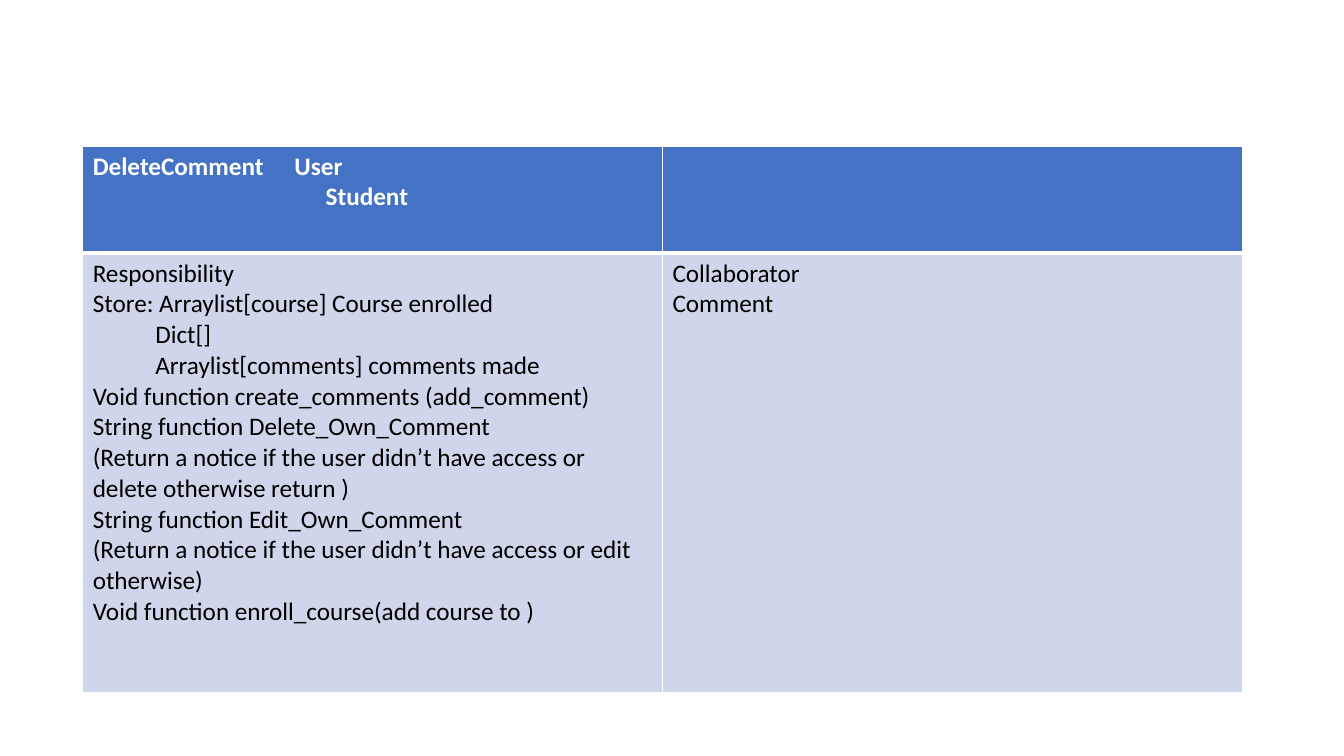
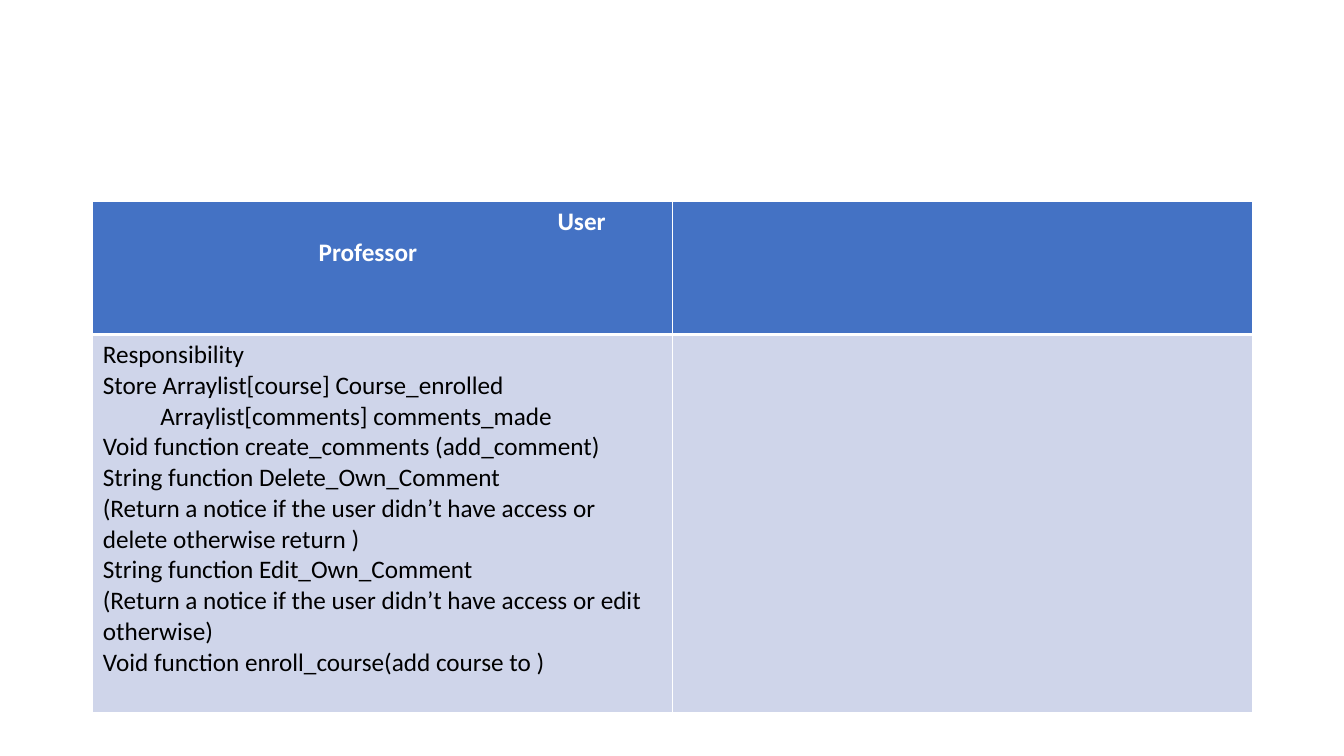
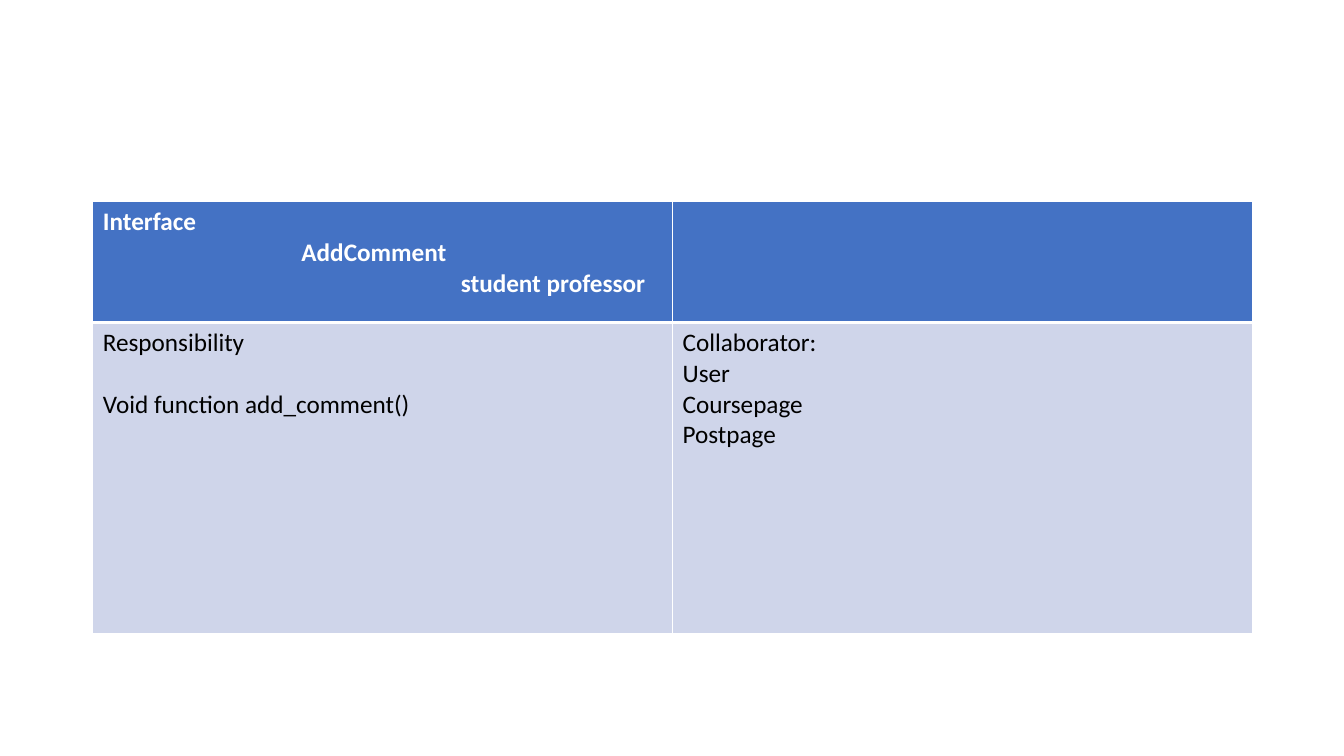
from lxml import etree
from pptx import Presentation
from pptx import util as u
from pptx.dml.color import RGBColor
from pptx.oxml.ns import qn

PX = 9144  # 100 px to the inch
INK = {"head": "4472C4", "body": "CFD5EA", "white": "FFFFFF", "black": "000000"}
COL = 575


def write(cell, lines, color, bold=False):
    """Fill a cell with (text, format) lines; indent and tab in px, gap in points."""
    frame = cell.text_frame
    for n, (text, form) in enumerate(lines):
        para = frame.add_paragraph() if n else frame.paragraphs[0]
        run = para.add_run()
        run.text = text
        run.font.name, run.font.size, run.font.bold = "Calibri", u.Pt(18), bold
        run.font.color.rgb = RGBColor.from_string(INK[color])
        props = para._p.get_or_add_pPr()
        props.set("marL", str(form.get("indent", 0) * PX))
        props.set("indent", "0")
        if "gap" in form:
            para.space_before = u.Pt(form["gap"])
        if "tab" in form:
            tabs = etree.SubElement(props, qn("a:tabLst"))
            etree.SubElement(tabs, qn("a:tab"), pos=str(form["tab"] * PX), algn="l")


def paint(cell, fill, widths):
    """Set white borders (points by side) and a solid fill."""
    props = cell._tc.get_or_add_tcPr()
    for side, width in widths.items():
        line = etree.SubElement(props, qn("a:ln" + side), w=str(u.Pt(width)))
        solid = etree.SubElement(line, qn("a:solidFill"))
        etree.SubElement(solid, qn("a:srgbClr"), val=INK["white"])
    cell.fill.solid()
    cell.fill.fore_color.rgb = RGBColor.from_string(INK[fill])


# Lines that both user cards share
tasks = [
    ("Void function create_comments (add_comment)", {}),
    ("String function Delete_Own_Comment", {}),
    ("(Return a notice if the user didn’t have access or delete otherwise return )", {}),
    ("String function Edit_Own_Comment", {}),
    ("(Return a notice if the user didn’t have access or edit otherwise)", {}),
    ("Void function enroll_course(add course to )", {}),
]

# One card per slide: place, row heights, and text of the three filled cells
cards = [
    {"at": (82, 145), "rows": (106, 436),
     "head": [("DeleteComment\tUser", {"tab": 491}), ("Student", {"indent": 231})],
     "duty": [("Responsibility", {}),
              ("Store: Arraylist[course] Course enrolled", {}),
              ("Dict[]", {"indent": 62}),
              ("Arraylist[comments] comments made", {"indent": 62})] + tasks,
     "peers": [("Collaborator", {}), ("Comment", {})]},
    {"at": (92, 200), "rows": (132, 375),
     "head": [("User", {"indent": 451}), ("Professor", {"indent": 214})],
     "duty": [("Responsibility", {}),
              ("Store Arraylist[course] Course_enrolled", {}),
              ("Arraylist[comments] comments_made", {"indent": 57})] + tasks,
     "peers": []},
    {"at": (92, 200), "rows": (120, 309),
     "head": [("Interface", {}), ("AddComment", {"indent": 197}),
              ("student professor", {"indent": 355})],
     "duty": [("Responsibility", {}), ("Void function add_comment()", {"gap": 22})],
     "peers": [("Collaborator:", {}), ("User", {}), ("Coursepage", {}), ("Postpage", {})]},
]

deck = Presentation()
deck.slide_width, deck.slide_height = 1333 * PX, 750 * PX

for card in cards:
    slide = deck.slides.add_slide(deck.slide_layouts[6])
    left, top = card["at"]
    table = slide.shapes.add_table(2, 2, left * PX, top * PX, 2 * COL * PX,
                                   sum(card["rows"]) * PX).table
    for col in table.columns:
        col.width = COL * PX
    for row, high in zip(table.rows, card["rows"]):
        row.height = high * PX

    # Header row, then body row
    for col in range(2):
        paint(table.cell(0, col), "head", {"L": 1, "R": 1, "T": 1, "B": 3})
        paint(table.cell(1, col), "body", {"L": 1, "R": 1, "T": 3, "B": 1})
    write(table.cell(0, 0), card["head"], "white", bold=True)
    write(table.cell(1, 0), card["duty"], "black")
    write(table.cell(1, 1), card["peers"], "black")

deck.save("out.pptx")
